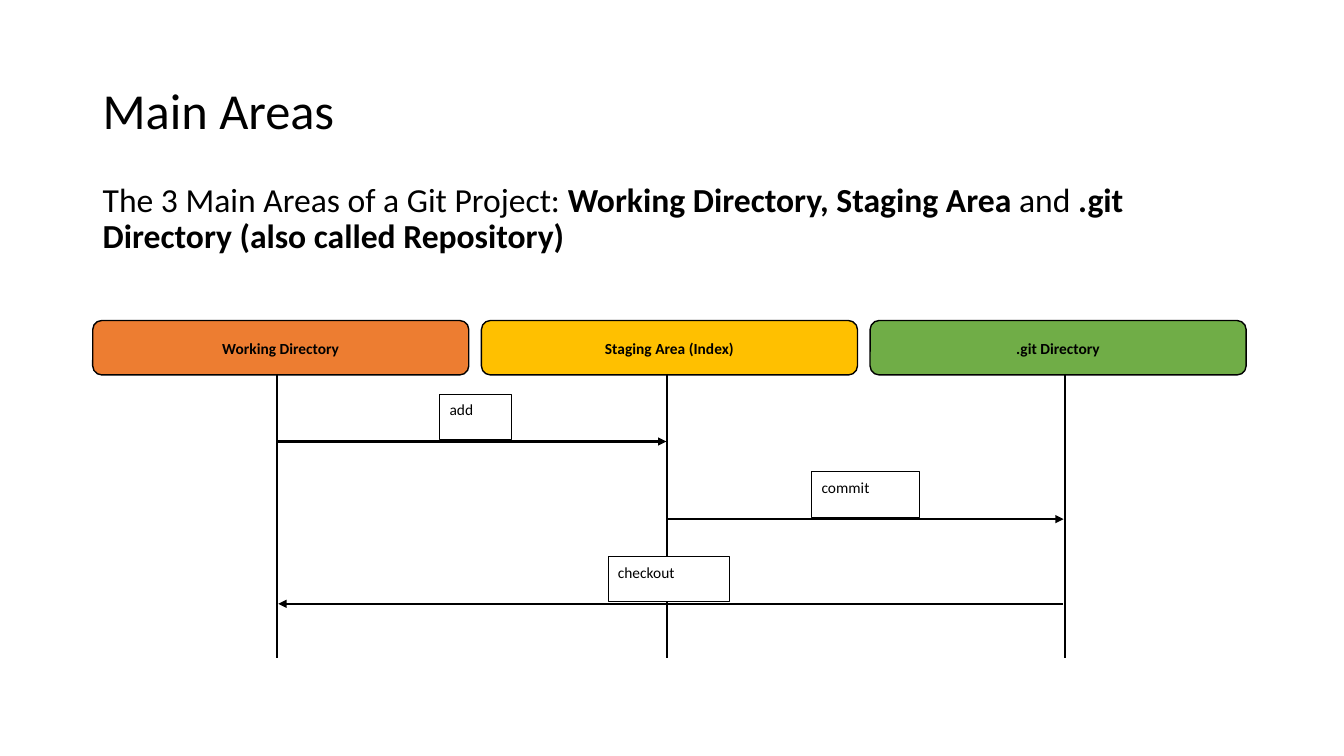
from dataclasses import dataclass

from lxml import etree
from pptx import Presentation
from pptx.dml.color import RGBColor
from pptx.enum.shapes import MSO_CONNECTOR, MSO_SHAPE
from pptx.enum.text import MSO_ANCHOR, PP_ALIGN
from pptx.oxml.ns import qn
from pptx.util import Inches, Pt

STRAIGHT = MSO_CONNECTOR.STRAIGHT
RECTANGLE = MSO_SHAPE.RECTANGLE
ROUNDED = MSO_SHAPE.ROUNDED_RECTANGLE
TOP, MIDDLE = MSO_ANCHOR.TOP, MSO_ANCHOR.MIDDLE
LEFT, CENTER = PP_ALIGN.LEFT, PP_ALIGN.CENTER


@dataclass(frozen=True)
class Theme:
    font: str = "Calibri"
    black: str = "000000"
    white: str = "FFFFFF"
    orange: str = "ED7D31"
    yellow: str = "FFC000"
    green: str = "70AD47"
    title_size: int = 36
    body_size: int = 24
    label_size: int = 11


THEME = Theme()
MARGIN = 0.92
AREA_TOP, AREA_WIDTH, AREA_HEIGHT, AREA_STEP = 3.18, 3.73, 0.54, 3.855
LIFELINE_TOP, LIFELINE_BOTTOM = 3.71, 6.53
LABEL_HEIGHT, LABEL_RISE = 0.45, 0.47

AREAS = [
    ("Working Directory", THEME.orange, 2.75),
    ("Staging Area (Index)", THEME.yellow, 6.62),
    (".git Directory", THEME.green, 10.56),
]
MESSAGES = [
    ("add", 2.76, 6.61, 4.38, 4.36, 0.71),
    ("commit", 6.62, 10.55, 5.15, 8.05, 1.07),
    ("checkout", 10.54, 2.76, 5.99, 6.03, 1.2),
]
INTRODUCTION = [
    ("The 3 Main Areas of a Git Project: ", False),
    ("Working Directory, Staging Area ", True),
    ("and", False),
    (" .git Directory (also called Repository)", True),
]


def write_text(shape, spans, *, size, anchor=TOP, align=LEFT, spacing=1.07, before=0, after=0):
    frame = shape.text_frame
    frame.word_wrap = True
    frame.vertical_anchor = anchor
    para = frame.paragraphs[0]
    para.alignment = align
    para.line_spacing = spacing
    para.space_before, para.space_after = Pt(before), Pt(after)
    for text, bold in spans:
        span = para.add_run()
        span.text = text
        span.font.name = THEME.font
        span.font.size = Pt(size)
        span.font.bold = bold
        span.font.color.rgb = RGBColor.from_string(THEME.black)


def add_text(page, bounds, spans, **style):
    box = page.shapes.add_textbox(*map(Inches, bounds))
    write_text(box, spans, **style)


def add_box(page, kind, bounds, text, *, fill, line_width, bold=False, **style):
    box = page.shapes.add_shape(kind, *map(Inches, bounds))
    box.shadow.inherit = False
    box.fill.solid()
    box.fill.fore_color.rgb = RGBColor.from_string(fill)
    box.line.color.rgb = RGBColor.from_string(THEME.black)
    box.line.width = Pt(line_width)
    write_text(box, [(text, bold)], size=THEME.label_size, after=8, **style)


def add_line(page, start, end, arrow=False):
    line = page.shapes.add_connector(STRAIGHT, *map(Inches, start + end))
    line.line.color.rgb = RGBColor.from_string(THEME.black)
    line.line.width = Pt(1.5)
    properties = line._element.spPr
    if arrow:
        etree.SubElement(properties.find(qn("a:ln")), qn("a:tailEnd"), type="triangle")
    etree.SubElement(properties, qn("a:effectLst"))


def add_area(page, index, name, color):
    bounds = (MARGIN + index * AREA_STEP, AREA_TOP, AREA_WIDTH, AREA_HEIGHT)
    add_box(page, ROUNDED, bounds, name, fill=color, line_width=1,
            bold=True, anchor=MIDDLE, align=CENTER)


def add_message(page, name, start, end, height, label_left, label_width):
    add_line(page, (start, height), (end, height), arrow=True)
    bounds = (label_left, height - LABEL_RISE, label_width, LABEL_HEIGHT)
    add_box(page, RECTANGLE, bounds, name, fill=THEME.white, line_width=0.5)


def main():
    deck = Presentation()
    deck.slide_width, deck.slide_height = Inches(13.33), Inches(7.5)
    page = deck.slides.add_slide(deck.slide_layouts[6])

    add_text(page, (MARGIN, 0.4, 11.5, 1.45), [("Main Areas", False)],
             size=THEME.title_size, anchor=MIDDLE, spacing=0.9)
    add_text(page, (MARGIN, 1.77, 11.5, 4.76), INTRODUCTION,
             size=THEME.body_size, spacing=0.9, before=10)
    for index, (name, color, lifeline) in enumerate(AREAS):
        add_area(page, index, name, color)
        add_line(page, (lifeline, LIFELINE_TOP), (lifeline, LIFELINE_BOTTOM))
    for message in MESSAGES:
        add_message(page, *message)

    deck.save("out.pptx")


if __name__ == "__main__":
    main()
